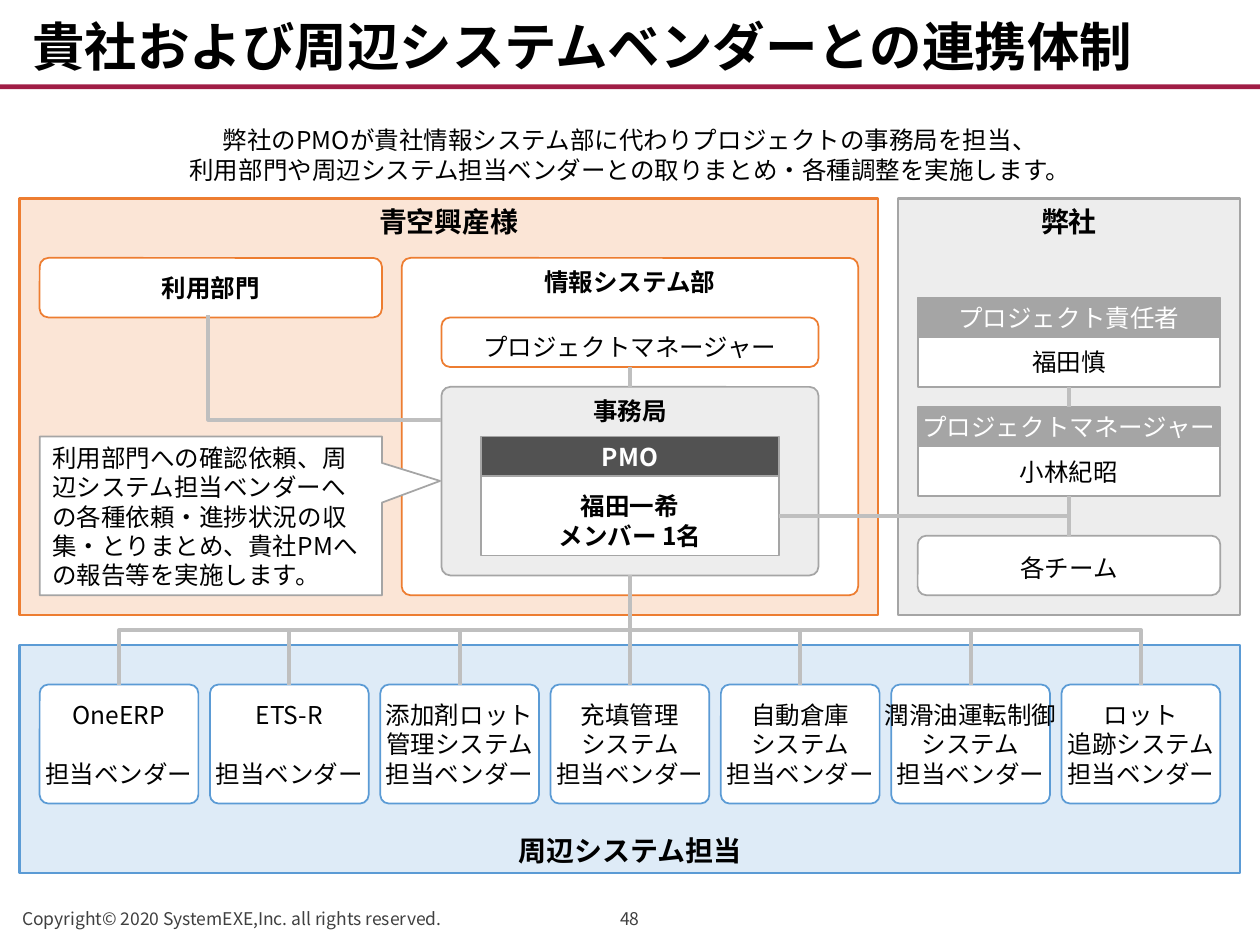
from dataclasses import dataclass, field
from typing import NamedTuple

import pptx
import pptx.dml.color
import pptx.enum.shapes
import pptx.enum.text
import pptx.oxml
import pptx.oxml.ns
import pptx.util
from lxml import etree

SHAPE = pptx.enum.shapes.MSO_SHAPE
CONNECTOR = pptx.enum.shapes.MSO_CONNECTOR
ALIGN = pptx.enum.text.PP_ALIGN
ANCHOR = pptx.enum.text.MSO_ANCHOR
qn = pptx.oxml.ns.qn

SLIDE_W, SLIDE_H = 10, 7.5
UNIT = 0.4 / 2.54  # grid step: 4 mm in inches
GRID_W = SLIDE_W / UNIT
MIDDLE = GRID_W / 2


@dataclass(frozen=True)
class Theme:
    font: str = "Noto Sans CJK JP"
    title: float = 30
    heading: float = 16
    body: float = 14
    footer: float = 10
    black: str = "000000"
    white: str = "FFFFFF"
    footer_text: str = "404040"
    rule: str = "A01D45"
    orange: str = "ED7D31"
    orange_pale: str = "FBE5D6"
    blue: str = "5B9BD5"
    blue_pale: str = "DEEBF7"
    gray: str = "A5A5A5"
    gray_pale: str = "EDEDED"
    gray_dark: str = "525252"
    link: str = "BFBFBF"


T = Theme()


class Box(NamedTuple):
    """Left, top, width and height in grid units."""
    x: float
    y: float
    w: float
    h: float


class Insets(NamedTuple):
    """Left and right, top, bottom margins in inches."""
    side: float
    top: float
    bottom: float


WIDE, TIGHT, LOW = Insets(0.1, 0.05, 0.05), Insets(0.04, 0.05, 0.05), Insets(0.08, 0.12, 0.05)


@dataclass(frozen=True)
class Style:
    size: float = T.body
    color: str = T.black
    bold: bool = False
    align: ALIGN = ALIGN.CENTER
    anchor: ANCHOR = ANCHOR.MIDDLE
    insets: Insets = field(default=TIGHT)
    wrap: bool = True


HEADING = Style(T.heading, bold=True, anchor=ANCHOR.TOP, insets=WIDE)
LABEL = Style(wrap=False)
BOLD_LABEL = Style(bold=True, wrap=False)
BOLD_TOP = Style(bold=True, anchor=ANCHOR.TOP, wrap=False)


class Vendor(NamedTuple):
    system: str
    gap: float = 0  # points above the vendor line


VENDORS = [
    Vendor("OneERP", 17),
    Vendor("ETS-R", 17),
    Vendor("添加剤ロット\n管理システム"),
    Vendor("充填管理\nシステム"),
    Vendor("自動倉庫\nシステム"),
    Vendor("潤滑油運転制御\nシステム"),
    Vendor("ロット\n追跡システム"),
]


def inch(n: float) -> int:
    return pptx.util.Inches(n * UNIT)


def rgb(color: str) -> pptx.dml.color.RGBColor:
    return pptx.dml.color.RGBColor.from_string(color)


def write(sp, text: str, style: Style):
    tf = sp.text_frame
    tf.text = text
    tf.word_wrap = style.wrap
    tf.vertical_anchor = style.anchor
    side, top, bottom = map(pptx.util.Inches, style.insets)
    tf.margin_left = tf.margin_right = side
    tf.margin_top, tf.margin_bottom = top, bottom
    for p in tf.paragraphs:
        p.alignment = style.align
        for r in p.runs:
            r.font.size = pptx.util.Pt(style.size)
            r.font.bold = style.bold
            r.font.color.rgb = rgb(style.color)
            r.font.name = T.font
            etree.SubElement(r.font._element, qn("a:ea"), typeface=T.font)
    return tf


def text_box(s, box: Box, text: str, style: Style):
    return write(s.shapes.add_textbox(*map(inch, box)), text, style)


def panel(s, box: Box, fill: str, line: str | None = None, text: str = "",
          style: Style = LABEL, kind=SHAPE.RECTANGLE, weight: float = 1):
    sp = s.shapes.add_shape(kind, *map(inch, box))
    sp.shadow.inherit = False
    sp.fill.solid()
    sp.fill.fore_color.rgb = rgb(fill)
    if line:
        sp.line.color.rgb = rgb(line)
        sp.line.width = pptx.util.Pt(weight)
    else:
        sp.line.fill.background()
    if text:
        write(sp, text, style)
    return sp


def rounded(s, box: Box, line: str, text: str, style: Style = LABEL, fill: str = T.white):
    """Rounded box whose corner radius is the same whatever its size."""
    sp = panel(s, box, fill, line, text, style, SHAPE.ROUNDED_RECTANGLE)
    sp.adjustments[0] = 0.44 / min(box.w, box.h)
    return sp


def link(s, x1: float, y1: float, x2: float, y2: float, kind=CONNECTOR.STRAIGHT):
    c = s.shapes.add_connector(kind, *map(inch, (x1, y1, x2, y2)))
    c.line.color.rgb = rgb(T.link)
    c.line.width = pptx.util.Pt(2.25)
    etree.SubElement(c._element.spPr, qn("a:effectLst"))
    return c


def elbow(s, x1: float, y1: float, x2: float, y2: float, corner: bool = False) -> None:
    """Bent link that leaves downwards; with corner it has one bend, not two."""
    cx, cy = (x1 + x2) / 2, (y1 + y2) / 2
    w, h = (y2 - y1) / 2, abs(x2 - x1) / 2
    pr = link(s, cx - w, cy - h, cx + w, cy + h, CONNECTOR.ELBOW)._element.spPr
    xfrm = pr.find(qn("a:xfrm"))
    rightward = x2 > x1
    xfrm.set("rot", str((270 if rightward else 90) * 60000))
    if rightward:
        xfrm.set("flipH", "1")
    if corner:
        pr.find(qn("a:prstGeom")).set("prst", "bentConnector2")


def role_card(s, y: float, role: str, name: str, wrap: bool = True) -> None:
    panel(s, Box(46.25, y, 15.25, 2), T.gray, T.gray, role, Style(color=T.white, wrap=wrap))
    panel(s, Box(46.25, y + 2, 15.25, 2.5), T.white, T.gray, name, Style())


def frame(s) -> None:
    """Title, rule, lead text and footer."""
    panel(s, Box(0, 4.25, GRID_W, 0.25), T.rule)
    tf = text_box(s, Box(1, 0.25, 61.5, 4), "貴社および周辺システムベンダーとの連携体制",
                  Style(T.title, bold=True, align=ALIGN.LEFT, anchor=ANCHOR.BOTTOM,
                        insets=WIDE, wrap=False))
    tf.paragraphs[0].line_spacing = 0.9
    for box, text, align in ((Box(0.5, 45.15, 27, 2), "Copyright© 2020 SystemEXE,Inc. all rights reserved.", ALIGN.LEFT),
                             (Box(MIDDLE - 2.5, 45.15, 5, 2), "48", ALIGN.CENTER)):
        text_box(s, box, text, Style(T.footer, T.footer_text, align=align,
                                     anchor=ANCHOR.BOTTOM, insets=WIDE))
    text_box(s, Box(1, 6, 61.5, 3.5),
             "弊社のPMOが貴社情報システム部に代わりプロジェクトの事務局を担当、\n"
             "利用部門や周辺システム担当ベンダーとの取りまとめ・各種調整を実施します。",
             Style(anchor=ANCHOR.TOP, insets=WIDE))


def vendor_area(s) -> list[float]:
    """Draw the vendor row and return the centre of each box."""
    panel(s, Box(1, 32.5, 61.5, 11.5), T.blue_pale, T.blue, "周辺システム担当",
          Style(T.heading, bold=True, anchor=ANCHOR.BOTTOM, insets=WIDE), weight=1.5)
    left, right, width = 2, 61.5, 8
    step = (right - left - width) / (len(VENDORS) - 1)
    centres = []
    for i, v in enumerate(VENDORS):
        x = left + i * step
        sp = rounded(s, Box(x, 34.5, width, 6), T.blue, f"{v.system}\n担当ベンダー")
        if v.gap:
            sp.text_frame.paragraphs[-1].space_before = pptx.util.Pt(v.gap)
        centres.append(x + width / 2)
    return centres


def own_company(s, axis: float) -> None:
    panel(s, Box(45.25, 10, 17.25, 21), T.gray_pale, T.gray, "弊社", HEADING, weight=1.5)
    rounded(s, Box(46.25, 27, 15.25, 3), T.gray, "各チーム", Style(anchor=ANCHOR.TOP, insets=LOW))
    role_card(s, 15, "プロジェクト責任者", "福田慎")
    role_card(s, 20.5, "プロジェクトマネージャー", "小林紀昭", wrap=False)
    link(s, axis, 19.5, axis, 20.5)
    link(s, axis, 25, axis, 27)


def client(s) -> None:
    panel(s, Box(1, 10, 43.25, 21), T.orange_pale, T.orange, "青空興産様", HEADING, weight=1.5)
    rounded(s, Box(2, 13, 17.25, 3), T.orange, "利用部門", BOLD_LABEL)
    rounded(s, Box(20.25, 13, 23, 17), T.orange, "情報システム部", BOLD_TOP)
    rounded(s, Box(22.25, 19.5, 19, 9.5), T.gray, "事務局", BOLD_TOP, T.gray_pale)
    panel(s, Box(24.25, 22, 15, 2), T.gray_dark, T.gray, "PMO", Style(color=T.white, bold=True))
    panel(s, Box(24.25, 24, 15, 4), T.white, T.gray, "福田一希\nメンバー 1名",
          Style(bold=True, anchor=ANCHOR.TOP, insets=LOW))
    rounded(s, Box(22.25, 16, 19, 2.5), T.orange, "プロジェクトマネージャー",
            Style(insets=LOW, wrap=False))
    link(s, MIDDLE, 18.5, MIDDLE, 19.5)


def main() -> None:
    prs = pptx.Presentation()
    prs.slide_width, prs.slide_height = map(pptx.util.Inches, (SLIDE_W, SLIDE_H))
    s = prs.slides.add_slide(prs.slide_layouts[6])
    frame(s)
    centres = vendor_area(s)
    axis = 46.25 + 15.25 / 2
    own_company(s, axis)
    client(s)
    for x in centres:
        if abs(x - MIDDLE) < 0.1:
            link(s, MIDDLE, 29, MIDDLE, 34.5)
        else:
            elbow(s, MIDDLE, 29, x, 34.5)
    note = panel(s, Box(2, 22, 17.25, 8), T.white, T.gray,
                 "利用部門への確認依頼、周辺システム担当ベンダーへの各種依頼・進捗状況の収集・"
                 "とりまとめ、貴社PMへの報告等を実施します。",
                 Style(align=ALIGN.LEFT, anchor=ANCHOR.TOP, insets=WIDE),
                 SHAPE.RECTANGULAR_CALLOUT)
    note.adjustments[0], note.adjustments[1] = 0.67, -0.22
    elbow(s, 10.5, 15.9, 22.25, 21.15, corner=True)
    elbow(s, axis, 25, 39.25, 26, corner=True)
    prs.save("out.pptx")


if __name__ == "__main__":
    main()
